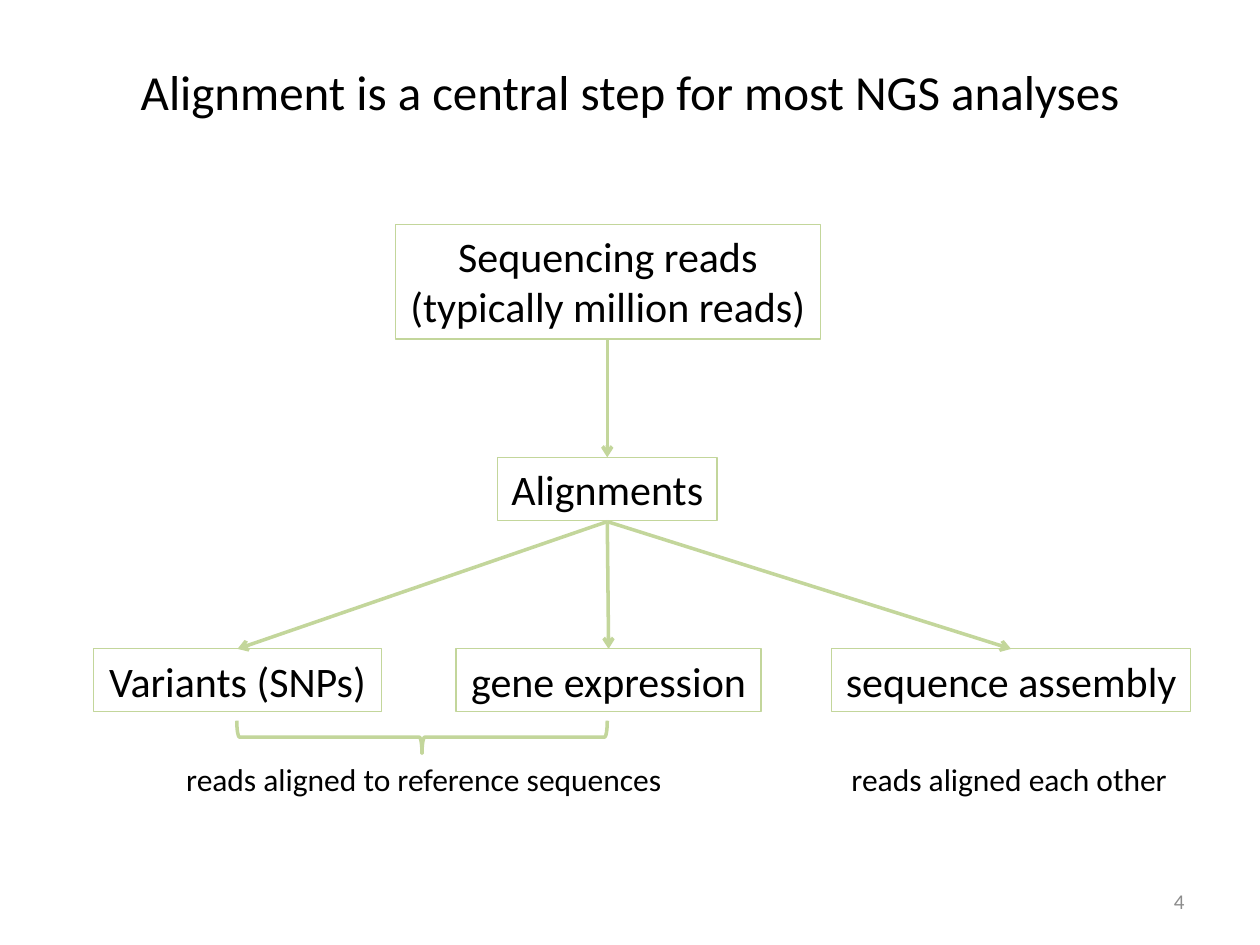
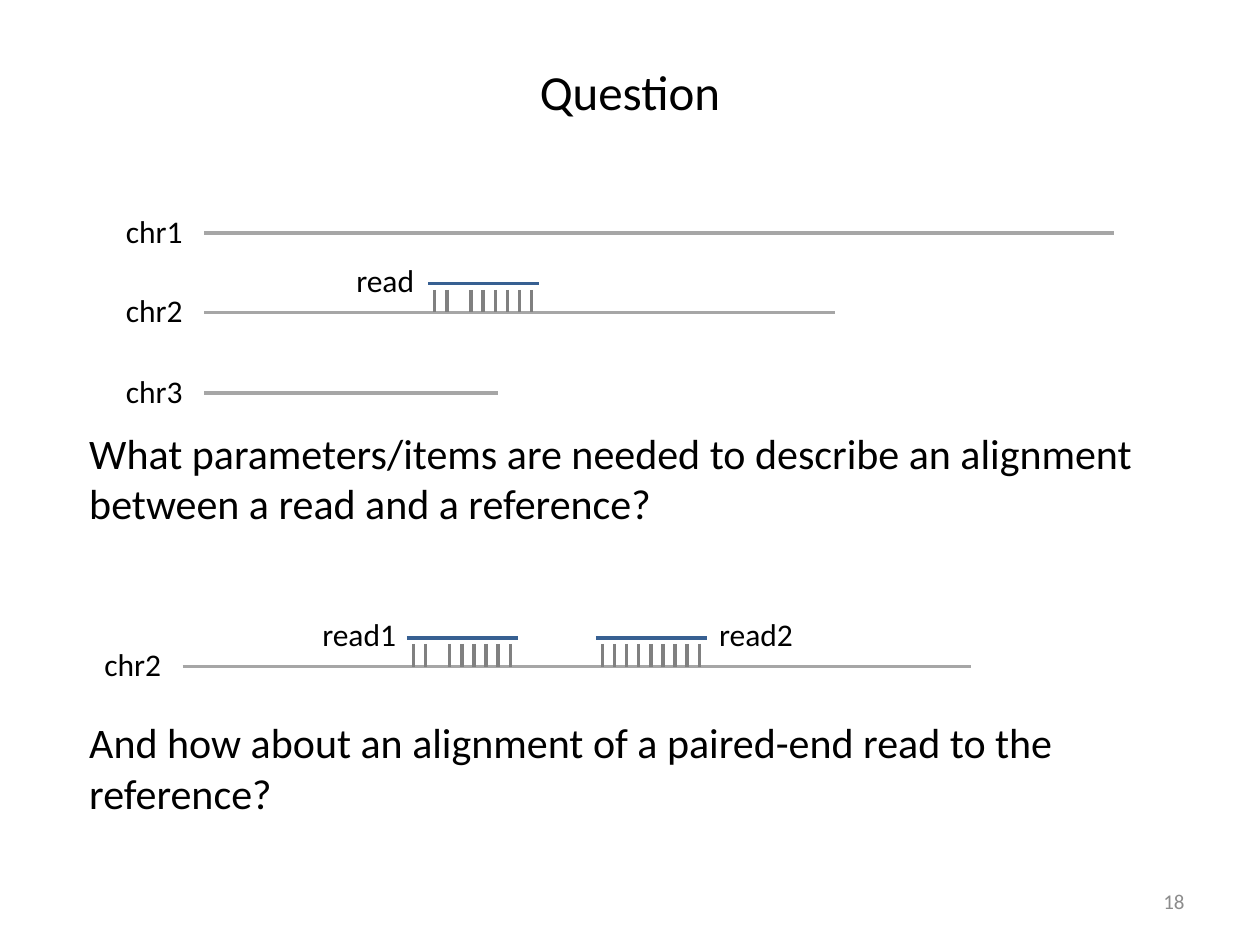
import pptx
import pptx.util
import pptx.dml.color
import pptx.enum.shapes
import pptx.enum.text
import pptx.oxml.ns
from lxml import etree

Inches = pptx.util.Inches
Pt = pptx.util.Pt
RGBColor = pptx.dml.color.RGBColor
ALIGN = pptx.enum.text.PP_ALIGN
ANCHOR = pptx.enum.text.MSO_ANCHOR
AUTO_SIZE = pptx.enum.text.MSO_AUTO_SIZE
SHAPE = pptx.enum.shapes.MSO_SHAPE
qn = pptx.oxml.ns.qn

BLACK = RGBColor(0x00, 0x00, 0x00)
PAGE_GREY = RGBColor(0x8C, 0x8C, 0x8C)
GREEN = RGBColor(0xC3, 0xD6, 0x9B)
CHROMOSOME_GREY = RGBColor(0xA6, 0xA6, 0xA6)
MATCH_GREY = RGBColor(0x80, 0x80, 0x80)
READ_BLUE = RGBColor(0x37, 0x60, 0x92)

FONT = "Calibri"
TITLE_SIZE, MAIN_SIZE, LABEL_SIZE, PAGE_SIZE = 28, 24, 18, 12
LABEL_HEIGHT = 0.4
READ_LENGTH = 0.88
BASES = 9  # base positions along a read


class Deck:
    """Holds the shared style and the slide being drawn."""

    def __init__(self):
        self.prs = pptx.Presentation()
        self.prs.slide_width = Inches(10)
        self.prs.slide_height = Inches(7.5)
        self.slide = None

    def new_slide(self, title, page):
        self.slide = self.prs.slides.add_slide(self.prs.slide_layouts[5])
        heading = self.slide.shapes.title
        heading.left, heading.top = Inches(0.5), Inches(0.3)
        heading.width, heading.height = Inches(9), Inches(0.85)
        heading.text_frame.vertical_anchor = ANCHOR.MIDDLE
        self.set_text(heading, title, TITLE_SIZE, align=ALIGN.CENTER)
        number = self.text(page, 7.17, 6.95, 2.33, LABEL_HEIGHT, PAGE_SIZE,
                           color=PAGE_GREY, align=ALIGN.RIGHT, grow=False)
        number.text_frame.vertical_anchor = ANCHOR.MIDDLE

    def set_text(self, shape, text, size, color=BLACK, align=ALIGN.LEFT):
        shape.text_frame.text = text
        for paragraph in shape.text_frame.paragraphs:
            paragraph.alignment = align
            paragraph.font.name = FONT
            paragraph.font.size = Pt(size)
            paragraph.font.color.rgb = color

    def text(self, text, left, top, width, height, size, color=BLACK,
             align=ALIGN.LEFT, wrap=True, grow=True):
        box = self.slide.shapes.add_textbox(
            Inches(left), Inches(top), Inches(width), Inches(height))
        box.text_frame.word_wrap = wrap
        if grow:
            box.text_frame.auto_size = AUTO_SIZE.SHAPE_TO_FIT_TEXT
        self.set_text(box, text, size, color, align)
        return box

    def label(self, text, left, top, width):
        self.text(text, left, top, width, LABEL_HEIGHT, LABEL_SIZE, wrap=False)

    def question(self, text, top):
        self.text(text, 0.61, top, 8.69, 0.91, MAIN_SIZE)

    def outline(self, kind, left, top, width, height, weight):
        shape = self.slide.shapes.add_shape(
            kind, Inches(left), Inches(top), Inches(width), Inches(height))
        shape.shadow.inherit = False
        shape.fill.background()
        shape.line.color.rgb = GREEN
        shape.line.width = Pt(weight)
        return shape

    def step(self, text, left, top, width, height=0.5):
        box = self.outline(SHAPE.RECTANGLE, left, top, width, height, 0.75)
        frame = box.text_frame
        frame.word_wrap = False
        frame.auto_size = AUTO_SIZE.SHAPE_TO_FIT_TEXT
        frame.vertical_anchor = ANCHOR.TOP
        self.set_text(box, text, MAIN_SIZE, align=ALIGN.CENTER)

    def line(self, x1, y1, x2, y2, color, weight=2.0, arrow=False):
        connector = self.slide.shapes.add_connector(
            pptx.enum.shapes.MSO_CONNECTOR.STRAIGHT,
            Inches(x1), Inches(y1), Inches(x2), Inches(y2))
        connector.line.color.rgb = color
        connector.line.width = Pt(weight)
        properties = connector._element.spPr
        if arrow:
            etree.SubElement(properties.find(qn("a:ln")), qn("a:tailEnd"), type="arrow")
        etree.SubElement(properties, qn("a:effectLst"))

    def chromosome(self, name, left, y, length):
        self.label(name, left - 0.72, y - 0.22, 0.66)
        self.line(left, y, left + length, y, CHROMOSOME_GREY)

    def aligned_read(self, left, chromosome_y, mismatches=()):
        """A read above its chromosome, with a tick for each matching base."""
        for base in range(BASES):
            if base not in mismatches:
                x = left + 0.05 + base * 0.77 / (BASES - 1)
                self.line(x, chromosome_y - 0.18, x, chromosome_y, MATCH_GREY)
        read_y = chromosome_y - 0.23
        self.line(left, read_y, left + READ_LENGTH, read_y, READ_BLUE, 2.25)


def alignment_slide(deck):
    deck.new_slide("Alignment is a central step for most NGS analyses", "4")

    # Workflow boxes
    deck.step("Sequencing reads\n(typically million reads)", 3.14, 1.78, 3.37, 0.91)
    deck.step("Alignments", 3.95, 3.63, 1.74)
    analyses = [("Variants (SNPs)", 0.74, 2.29),
                ("gene expression", 3.62, 2.42),
                ("sequence assembly", 6.6, 2.85)]
    for name, left, width in analyses:
        deck.step(name, left, 5.15, width)

    # Arrows
    center = 4.82
    deck.line(center, 2.69, center, 3.63, GREEN, arrow=True)
    for _, left, width in analyses:
        deck.line(center, 4.14, left + width / 2, 5.15, GREEN, arrow=True)

    # How the reads are aligned
    brace = deck.outline(SHAPE.LEFT_BRACE, 3.22, 4.38, 0.26, 2.94, 2)
    brace.rotation = 270
    deck.label("reads aligned to reference sequences", 1.38, 5.98, 4.03)
    deck.label("reads aligned each other", 6.66, 5.98, 2.74)


def question_slide(deck):
    deck.new_slide("Question", "18")

    # Single read
    for name, y, length in [("chr1", 1.85, 7.22), ("chr2", 2.48, 5.01),
                            ("chr3", 3.12, 2.33)]:
        deck.chromosome(name, 1.62, y, length)
    deck.aligned_read(3.4, 2.48, mismatches=(2,))
    deck.label("read", 2.73, 2.02, 0.67)
    deck.question("What parameters/items are needed to describe an alignment "
                  "between a read and a reference?", 3.34)

    # Paired-end read
    deck.chromosome("chr2", 1.45, 5.29, 6.26)
    deck.aligned_read(3.23, 5.29, mismatches=(2,))
    deck.label("read1", 2.46, 4.83, 0.8)
    deck.aligned_read(4.73, 5.29)
    deck.label("read2", 5.61, 4.83, 0.8)
    deck.question("And how about an alignment of a paired-end read to the reference?", 5.64)


def main():
    deck = Deck()
    alignment_slide(deck)
    question_slide(deck)
    deck.prs.save("out.pptx")


if __name__ == "__main__":
    main()
